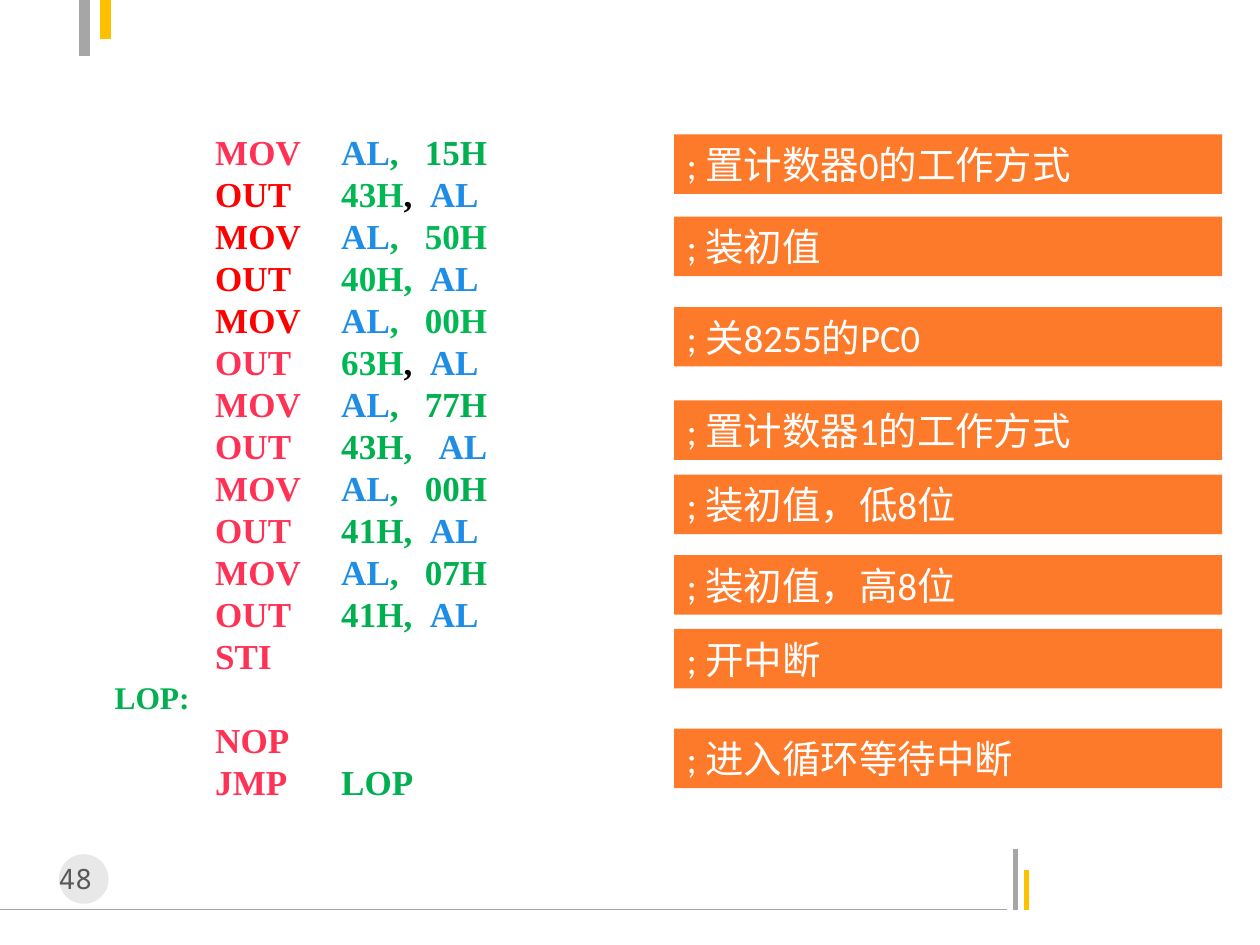
from lxml.etree import SubElement
from pptx import Presentation
from pptx.dml.color import RGBColor
from pptx.enum.shapes import MSO_CONNECTOR, MSO_SHAPE
from pptx.enum.text import MSO_ANCHOR, PP_ALIGN
from pptx.oxml.ns import qn
from pptx.util import Cm, Pt

WHITE = RGBColor(0xFF, 0xFF, 0xFF)
BLACK = RGBColor(0x00, 0x00, 0x00)
RULE_GRAY = RGBColor(0xA6, 0xA6, 0xA6)
DISC_GRAY = RGBColor(0xBF, 0xBF, 0xBF)
NUMBER_GRAY = RGBColor(0x59, 0x59, 0x59)
GOLD = RGBColor(0xFF, 0xC0, 0x00)
ORANGE = RGBColor(0xFD, 0x7A, 0x2A)
ROSE = RGBColor(0xFF, 0x32, 0x55)
RED = RGBColor(0xFF, 0x00, 0x00)
BLUE = RGBColor(0x1D, 0x8D, 0xE5)
GREEN = RGBColor(0x00, 0xB0, 0x50)
BRIGHT_GREEN = RGBColor(0x00, 0xB8, 0x53)

LINE_PITCH = Pt(24)

# Opcode, its colour, first operand, separator, its colour, second operand, colour of numbers
INSTRUCTIONS = [
    ("MOV", ROSE, "AL", ",   ", GREEN, "15H", GREEN),
    ("OUT", RED, "43H", ",  ", BLACK, "AL", BRIGHT_GREEN),
    ("MOV", RED, "AL", ",   ", BRIGHT_GREEN, "50H", BRIGHT_GREEN),
    ("OUT", RED, "40H", ",  ", BRIGHT_GREEN, "AL", BRIGHT_GREEN),
    ("MOV", RED, "AL", ",   ", BRIGHT_GREEN, "00H", BRIGHT_GREEN),
    ("OUT", ROSE, "63H", ",  ", BLACK, "AL", BRIGHT_GREEN),
    ("MOV", ROSE, "AL", ",   ", GREEN, "77H", GREEN),
    ("OUT", ROSE, "43H", ",   ", GREEN, "AL", GREEN),
    ("MOV", ROSE, "AL", ",   ", GREEN, "00H", GREEN),
    ("OUT", ROSE, "41H", ",  ", GREEN, "AL", GREEN),
    ("MOV", ROSE, "AL", ",   ", GREEN, "07H", GREEN),
    ("OUT", ROSE, "41H", ",  ", GREEN, "AL", GREEN),
]

# Offset from the top of the column in cm, and wording
COMMENTS = [
    (0, "; 置计数器0的工作方式"),
    (1.66, "; 装初值"),
    (3.48, "; 关8255的PC0"),
    (5.36, "; 置计数器1的工作方式"),
    (6.86, "; 装初值，低8位"),
    (8.48, "; 装初值，高8位"),
    (9.97, "; 开中断"),
    (11.98, "; 进入循环等待中断"),
]


def write(paragraph, text, *, font, size, color, bold=False, align=None):
    """Add one formatted run to a paragraph."""
    if align is not None:
        paragraph.alignment = align
    run = paragraph.add_run()
    run.text = text
    run.font.name = font
    run.font.size = Pt(size)
    run.font.bold = bold
    run.font.color.rgb = color


def add_filled(slide, kind, left, top, width, height, color):
    shape = slide.shapes.add_shape(kind, left, top, width, height)
    shape.shadow.inherit = False
    shape.fill.solid()
    shape.fill.fore_color.rgb = color
    shape.line.fill.background()
    return shape


def add_rule(slide, x1, y1, x2, y2, color, weight):
    rule = slide.shapes.add_connector(MSO_CONNECTOR.STRAIGHT, x1, y1, x2, y2)
    rule.line.color.rgb = color
    rule.line.width = Pt(weight)
    SubElement(rule._element.spPr, qn("a:effectLst"))


def add_header_bars(slide, left, top):
    gold_x = left + Cm(0.43)
    add_rule(slide, left, top + Cm(1.12), left, top - Cm(0.08), RULE_GRAY, 6)
    add_rule(slide, gold_x, top, gold_x, top + Cm(0.79), GOLD, 6)


def add_footer(slide, left, base):
    # Baseline and end bars
    gray_x, gold_x = left + Cm(20.47), left + Cm(20.7)
    add_rule(slide, left, base, left + Cm(20.29), base, RULE_GRAY, 0.75)
    add_rule(slide, gray_x, base, gray_x, base - Cm(1.22), RULE_GRAY, 3)
    add_rule(slide, gold_x, base, gold_x, base - Cm(0.81), GOLD, 3)

    # Page number on a translucent disc
    disc = add_filled(slide, MSO_SHAPE.OVAL, left + Cm(1.19), base - Cm(1.12),
                      Cm(1), Cm(1), DISC_GRAY)
    tint = disc._element.spPr.find(qn("a:solidFill"))[0]
    SubElement(tint, qn("a:alpha"), val="35000")
    number = slide.shapes.add_textbox(left + Cm(0.79), base - Cm(1.09), Cm(1.8), Cm(0.94))
    number.text_frame.word_wrap = True
    write(number.text_frame.paragraphs[0], "48 ", font="Noto Sans Mono", size=16,
          color=NUMBER_GRAY, align=PP_ALIGN.CENTER)


def code_lines():
    """Each line of the listing as (text, colour) pieces."""
    for opcode, color, first, gap, gap_color, second, number_color in INSTRUCTIONS:
        tints = [BLUE if operand == "AL" else number_color for operand in (first, second)]
        yield [(opcode + "\t", color), (first, tints[0]), (gap, gap_color), (second, tints[1])]
    yield [("STI", ROSE)]
    yield [("NOP", ROSE)]
    yield [("JMP\t", ROSE), ("LOP", GREEN)]


def add_listing(slide, left, top, width, height):
    code = slide.shapes.add_textbox(left, top, width, height).text_frame
    code.word_wrap = True
    for index, pieces in enumerate(code_lines()):
        line = code.add_paragraph() if index else code.paragraphs[0]
        line.line_spacing = LINE_PITCH
        if pieces[0][0] == "NOP":
            line.space_before = LINE_PITCH  # room for the label beside it
        for text, color in pieces:
            write(line, text, font="Times New Roman", size=20, color=color,
                  bold=True, align=PP_ALIGN.JUSTIFY)


def add_loop_label(slide, left, top, width, height):
    label = slide.shapes.add_textbox(left, top, width, height).text_frame
    label.word_wrap = False
    write(label.paragraphs[0], "LOP:", font="Times New Roman", size=18, color=GREEN,
          bold=True, align=PP_ALIGN.JUSTIFY)


def add_comments(slide, left, top, width):
    for offset, wording in COMMENTS:
        bar = add_filled(slide, MSO_SHAPE.RECTANGLE, left, top + Cm(offset),
                         width, Cm(1.2), ORANGE)
        bar.text_frame.word_wrap = True
        bar.text_frame.vertical_anchor = MSO_ANCHOR.MIDDLE
        write(bar.text_frame.paragraphs[0], wording, font="Calibri", size=22,
              color=WHITE, align=PP_ALIGN.LEFT)


def main():
    deck = Presentation()
    deck.slide_width, deck.slide_height = Cm(25.4), Cm(19.05)
    slide = deck.slides.add_slide(deck.slide_layouts[6])
    add_footer(slide, Cm(0), Cm(18.34))
    add_header_bars(slide, Cm(1.7), Cm(0))
    add_listing(slide, Cm(4.09), Cm(2.51), Cm(6.81), Cm(13.94))
    add_comments(slide, Cm(13.59), Cm(2.71), Cm(11.05))
    add_loop_label(slide, Cm(2.06), Cm(13.54), Cm(2.06), Cm(1.02))
    deck.save("out.pptx")


if __name__ == "__main__":
    main()
